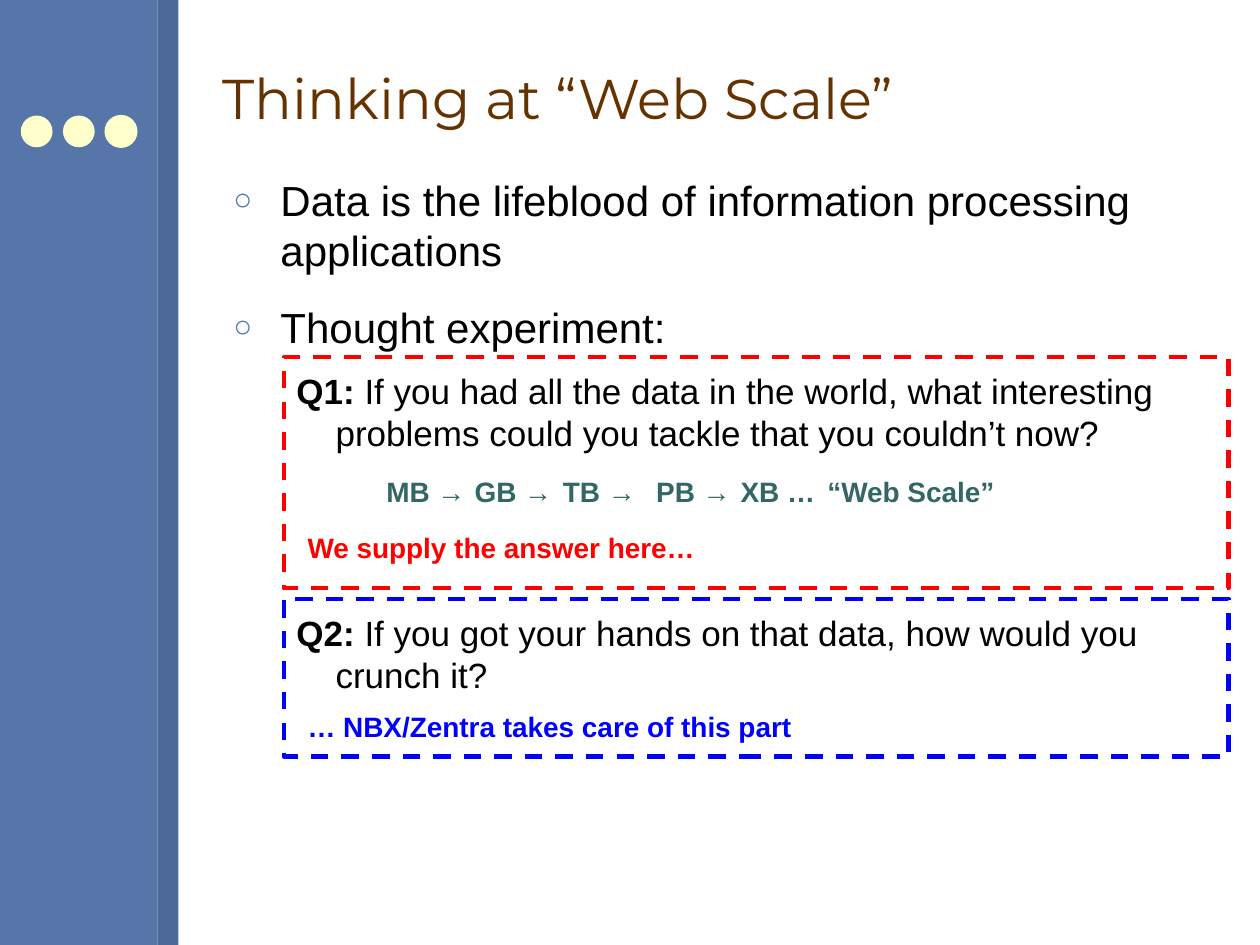
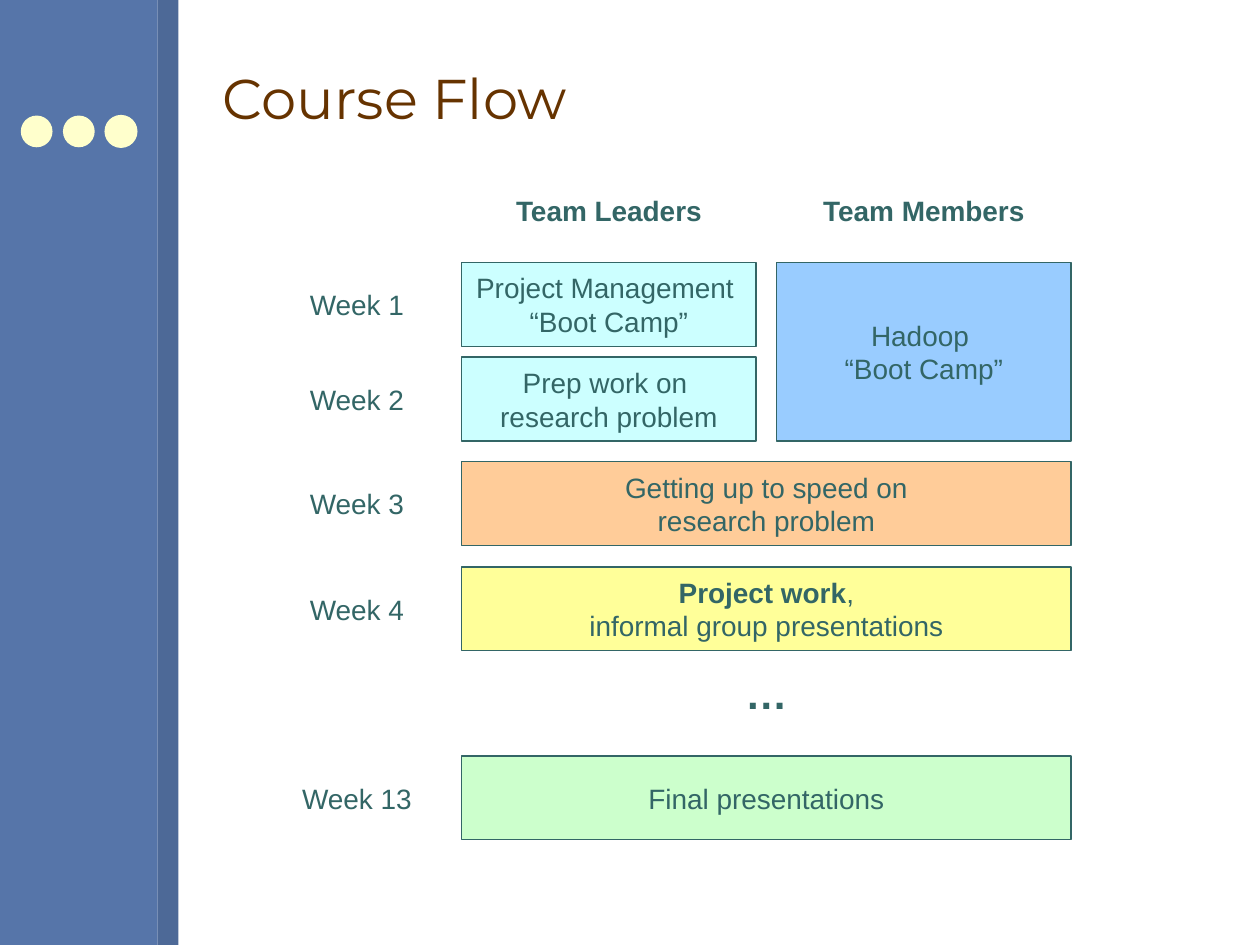
from dataclasses import dataclass
from typing import Optional

from lxml.etree import SubElement
from pptx import Presentation
from pptx.dml.color import RGBColor
from pptx.enum.dml import MSO_LINE
from pptx.enum.shapes import MSO_SHAPE
from pptx.enum.text import MSO_ANCHOR, MSO_AUTO_SIZE, PP_ALIGN
from pptx.oxml.ns import qn
from pptx.util import Cm, Pt


@dataclass(frozen=True)
class Theme:
    band: str = "5675A9"
    edge: str = "4D6997"
    dot: str = "FFFFCC"
    title: str = "663300"
    ink: str = "000000"
    teal: str = "336666"
    red: str = "FF0000"
    blue: str = "0000FF"
    cyan: str = "CCFFFF"
    sky: str = "99CCFF"
    peach: str = "FFCC99"
    lemon: str = "FFFF99"
    mint: str = "CCFFCC"
    head: str = "Montserrat"
    font: str = "Arial"
    large: int = 32
    body: int = 24
    mid: int = 20
    small: int = 16


@dataclass(frozen=True)
class Box:
    left: float
    top: float
    width: float
    height: float
    fill: Optional[str] = None
    line: Optional[str] = None
    weight: float = 0.75
    dash: bool = False
    kind: MSO_SHAPE = MSO_SHAPE.RECTANGLE

    def place(self) -> tuple:
        return tuple(Cm(v) for v in (self.left, self.top, self.width, self.height))


@dataclass(frozen=True)
class Item:
    text: str
    size: int
    before: float
    after: float
    level: int
    margin: float
    indent: float
    mark: str = ""


@dataclass(frozen=True)
class Week:
    name: str
    top: float


THEME = Theme()
LEFT, RIGHT, TAG = 9.31, 15.66, 5.29
HALF, FULL, ROW = 5.93, 12.28, 1.69
HEAD, DOTS = 3.39, 13.12
WEEKS = [
    Week("Week 1", 5.29),
    Week("Week 2", 7.2),
    Week("Week 3", 9.31),
    Week("Week 4", 11.43),
    Week("Week 13", 15.24),
]
ITEMS = [
    Item("Data is the lifeblood of information processing applications",
         THEME.body, 0, 7.5, 0, 0.95, -0.95, "○"),
    Item("Thought experiment:", THEME.body, 7.5, 7.5, 0, 0.95, -0.95, "○"),
    Item("*Q1:* If you had all the data in the world, what interesting "
         "problems could you tackle that you couldn’t now?",
         THEME.mid, 2.5, 2.5, 1, 2.06, -0.79),
    Item("*Q2:* If you got your hands on that data, how would you crunch it?",
         THEME.mid, 88, 2.5, 1, 2.06, -0.79),
]
SCALE = [
    ("MB →", 7.54), ("GB →", 9.32), ("TB →", 11.1),
    ("PB →", 12.98), ("XB …", 14.68), ("“Web Scale”", 16.43),
]


def write(frame, text: str, *, size: int = THEME.small, color: str = THEME.teal,
          font: str = THEME.font, bold: bool = False, align=PP_ALIGN.LEFT,
          anchor=MSO_ANCHOR.TOP, wrap: bool = False, more: bool = False) -> list:
    frame.word_wrap = wrap
    frame.auto_size = MSO_AUTO_SIZE.NONE
    frame.vertical_anchor = anchor
    paras = []
    for line in text.split("\n"):
        para = frame.add_paragraph() if paras or more else frame.paragraphs[0]
        para.alignment = align
        for i, part in enumerate(line.split("*")):
            if part:
                run = para.add_run()
                run.text = part
                run.font.size = Pt(size)
                run.font.name = font
                run.font.bold = bold or i % 2 == 1
                run.font.color.rgb = RGBColor.from_string(color)
        paras.append(para)
    return paras


def draw(slide, box: Box, text: str = "", **form):
    shape = slide.shapes.add_shape(box.kind, *box.place())
    shape.shadow.inherit = False
    if box.fill:
        shape.fill.solid()
        shape.fill.fore_color.rgb = RGBColor.from_string(box.fill)
    else:
        shape.fill.background()
    if box.line:
        shape.line.color.rgb = RGBColor.from_string(box.line)
        shape.line.width = Pt(box.weight)
        if box.dash:
            shape.line.dash_style = MSO_LINE.DASH
    else:
        shape.line.fill.background()
    if text:
        write(shape.text_frame, text, **form)
    return shape


def label(slide, box: Box, text: str, **form) -> None:
    write(slide.shapes.add_textbox(*box.place()).text_frame, text, **form)


def move(shape, box: Box) -> None:
    shape.left, shape.top, shape.width, shape.height = box.place()


def start(deck, layout: int, title: str):
    slide = deck.slides.add_slide(deck.slide_layouts[layout])
    move(slide.shapes.title, Box(4.23, 0.53, 20.32, 2.86))
    write(slide.shapes.title.text_frame, title, size=THEME.large, color=THEME.title,
          font=THEME.head, anchor=MSO_ANCHOR.MIDDLE, wrap=True)
    return slide


def brand(deck, slide) -> None:
    parts = [Box(0, 0, 3.18, 19.05, THEME.band), Box(3.18, 0, 0.42, 19.05, THEME.edge)]
    for i in range(3):
        rim = THEME.dot if i == 2 else None
        parts.append(Box(0.42 + 0.85 * i, 2.33, 0.64, 0.64, THEME.dot, rim,
                         kind=MSO_SHAPE.OVAL))
    tree = deck.slide_master.shapes.element
    for i, part in enumerate(parts):
        tree.insert(2 + i, draw(slide, part).element)


def bullet(para, item: Item) -> None:
    props = para._p.get_or_add_pPr()
    props.set("marL", str(Cm(item.margin)))
    props.set("indent", str(Cm(item.indent)))
    if item.mark:
        color = SubElement(props, qn("a:buClr"))
        SubElement(color, qn("a:srgbClr"), val=THEME.band)
        SubElement(props, qn("a:buSzPct"), val="75000")
        SubElement(props, qn("a:buFont"), typeface=THEME.font)
        SubElement(props, qn("a:buChar"), char=item.mark)
    else:
        SubElement(props, qn("a:buNone"))
    para.level = item.level
    para.space_before = Pt(item.before)
    para.space_after = Pt(item.after)


def scale(deck) -> None:
    slide = start(deck, 1, "Thinking at “Web Scale”")
    brand(deck, slide)
    body = slide.placeholders[1]
    move(body, Box(4.45, 3.39, 20.11, 14.82))
    for i, item in enumerate(ITEMS):
        para, = write(body.text_frame, item.text, size=item.size, color=THEME.ink,
                      wrap=True, more=i > 0)
        bullet(para, item)
    for text, left in SCALE:
        label(slide, Box(left, 9.45, 2.2, 0.94), text, bold=True)
    for color, top, height, base, text in (
        (THEME.red, 7.2, 4.66, 10.58, "We supply the answer here…"),
        (THEME.blue, 12.07, 3.18, 14.18, "… NBX/Zentra takes care of this part"),
    ):
        draw(slide, Box(5.72, top, 19.05, height, line=color, weight=2.5, dash=True))
        label(slide, Box(5.95, base, 10.34, 0.94), text, color=color, bold=True)


def flow(deck) -> None:
    slide = start(deck, 5, "Course Flow")
    form = dict(align=PP_ALIGN.CENTER, anchor=MSO_ANCHOR.MIDDLE)
    tops = [week.top for week in WEEKS]
    for left, text in ((LEFT, "Team Leaders"), (RIGHT, "Team Members")):
        label(slide, Box(left, HEAD, HALF, ROW), text, bold=True, **form)
    for week in WEEKS:
        label(slide, Box(TAG, week.top, 3.81, ROW), week.name, **form)
    tall = tops[1] + ROW - tops[0]
    for left, top, width, height, fill, text in (
        (LEFT, tops[0], HALF, ROW, THEME.cyan, "Project Management \n“Boot Camp”"),
        (LEFT, tops[1], HALF, ROW, THEME.cyan, "Prep work on \nresearch problem"),
        (RIGHT, tops[0], HALF, tall, THEME.sky, "Hadoop \n“Boot Camp”"),
        (LEFT, tops[2], FULL, ROW, THEME.peach, "Getting up to speed on\nresearch problem"),
        (LEFT, tops[3], FULL, ROW, THEME.lemon,
         "*Project work*,\ninformal group presentations"),
        (LEFT, tops[4], FULL, ROW, THEME.mint, "Final presentations"),
    ):
        draw(slide, Box(left, top, width, height, fill, THEME.teal), text, **form)
    label(slide, Box(LEFT, DOTS, FULL, ROW), "…", size=THEME.body, bold=True, **form)


def main() -> None:
    deck = Presentation()
    deck.slide_width, deck.slide_height = Cm(25.4), Cm(19.05)
    scale(deck)
    flow(deck)
    deck.save("out.pptx")


if __name__ == "__main__":
    main()
